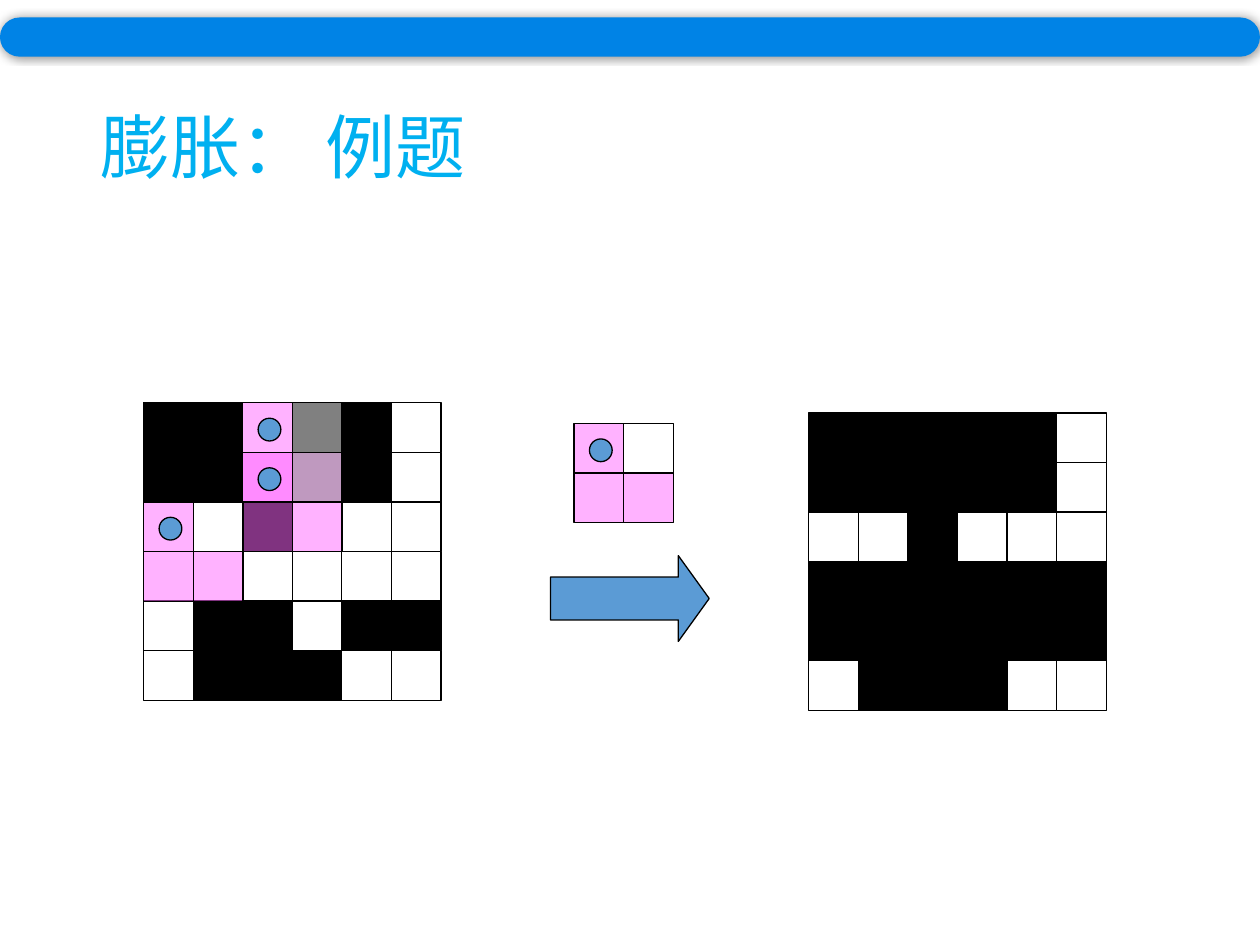
from dataclasses import dataclass

from lxml import etree
from pptx import Presentation
from pptx.dml.color import RGBColor
from pptx.enum.shapes import MSO_SHAPE
from pptx.enum.text import MSO_ANCHOR, MSO_AUTO_SIZE, PP_ALIGN
from pptx.oxml.ns import qn
from pptx.util import Pt

RECT, OVAL = MSO_SHAPE.RECTANGLE, MSO_SHAPE.OVAL
ARROW, ROUNDED = MSO_SHAPE.RIGHT_ARROW, MSO_SHAPE.ROUNDED_RECTANGLE
MIDDLE, LEFT, NO_FIT = MSO_ANCHOR.MIDDLE, PP_ALIGN.LEFT, MSO_AUTO_SIZE.NONE
TITLE_ONLY = 5


@dataclass(frozen=True)
class Theme:
    font: str = "Noto Sans CJK SC"
    title_size: float = 40
    title: str = "00B0F0"
    bar: str = "0083E6"
    accent: str = "5B9BD5"
    black: str = "000000"
    white: str = "FFFFFF"
    pink: str = "FF66FF"
    line: float = 0.75
    pitch: float = 28.3
    cell: float = 28.5


class Deck:
    def __init__(self, theme):
        self.t = theme
        self.prs = Presentation()
        self.prs.slide_width, self.prs.slide_height = Pt(720), Pt(540)
        self.s = self.prs.slides.add_slide(self.prs.slide_layouts[TITLE_ONLY])

    def title(self, text, x, y, w, h):
        sp = self.s.shapes.title
        sp.left, sp.top, sp.width, sp.height = Pt(x), Pt(y), Pt(w), Pt(h)
        tf = sp.text_frame
        tf.auto_size, tf.vertical_anchor, tf.word_wrap = NO_FIT, MIDDLE, True
        p = tf.paragraphs[0]
        p.alignment, p.line_spacing = LEFT, 0.9
        r = p.add_run()
        r.text = text
        r.font.name, r.font.size = self.t.font, Pt(self.t.title_size)
        r.font.color.rgb = RGBColor.from_string(self.t.title)
        etree.SubElement(r.font._element, qn("a:ea"), typeface=self.t.font)

    def shape(self, kind, x, y, w, h, fill, alpha=None, outline=True, parent=None):
        sp = (parent or self.s).shapes.add_shape(kind, Pt(x), Pt(y), Pt(w), Pt(h))
        sp.shadow.inherit = False
        sp.fill.solid()
        sp.fill.fore_color.rgb = RGBColor.from_string(fill)
        if alpha is not None:
            color = sp._element.spPr.find(qn("a:solidFill"))[0]
            etree.SubElement(color, qn("a:alpha"), val=str(alpha * 1000))
        if outline:
            sp.line.color.rgb = RGBColor.from_string(self.t.black)
            sp.line.width = Pt(self.t.line)
        else:
            sp.line.fill.background()
        return sp

    def cells(self, group, origin, rows, on, alpha=None):
        """Draw pixels in a group; # takes the colour on, others are white."""
        size = self.t.cell
        for row, pixels in enumerate(rows):
            for col, pixel in enumerate(pixels):
                x, y = self.place(origin, row, col)
                fill = on if pixel == "#" else self.t.white
                self.shape(RECT, x, y, size, size, fill, alpha, parent=group)

    def place(self, origin, row, col):
        return origin[0] + col * self.t.pitch, origin[1] + row * self.t.pitch

    def grid(self, origin, rows):
        self.cells(self.s.shapes.add_group_shape(), origin, rows, self.t.black)

    def kernel(self, origin, row=0, col=0):
        """Draw the translucent 2 x 2 structuring element and its anchor."""
        x, y = self.place(origin, row, col)
        group = self.s.shapes.add_group_shape()
        self.cells(group, (x, y), ("#.", "##"), self.t.pink, 50)
        self.shape(OVAL, x + 8.8, y + 8.8, 13, 13, self.t.accent, parent=group)

    def arrow(self, x, y, w, h):
        sp = self.shape(ARROW, x, y, w, h, self.t.accent)
        sp.adjustments[0], sp.adjustments[1] = 0.5, 0.36

    def bar(self, x, y, w, h):
        sp = self.shape(ROUNDED, x, y, w, h, self.t.bar, outline=False)
        sp.adjustments[0] = 0.5
        effects = sp._element.spPr.find(qn("a:effectLst"))
        shadow = etree.SubElement(effects, qn("a:outerShdw"),
                                  blurRad=str(Pt(5)), dist="0", dir="0")
        color = etree.SubElement(shadow, qn("a:srgbClr"), val=self.t.black)
        etree.SubElement(color, qn("a:alpha"), val="40000")


def main():
    deck = Deck(Theme())
    deck.title("膨胀： 例题", 50.2, 41, 552.2, 90)

    # Input image
    source = (82.1, 230.2)
    deck.grid(source, ("##.##.",
                       "##.##.",
                       "..#...",
                       "......",
                       ".##.##",
                       ".###.."))
    deck.arrow(314.6, 317.5, 90.7, 49)

    # Dilated image
    deck.grid((462.2, 236), ("#####.",
                             "#####.",
                             "..#...",
                             "######",
                             "######",
                             ".###.."))

    # Structuring element alone and at its positions on the input
    deck.kernel((328, 242))
    for row, col in ((0, 2), (1, 2), (2, 0)):
        deck.kernel(source, row, col)

    # Header bar
    deck.bar(0, 10, 720, 22.4)
    deck.prs.save("out.pptx")


if __name__ == "__main__":
    main()
